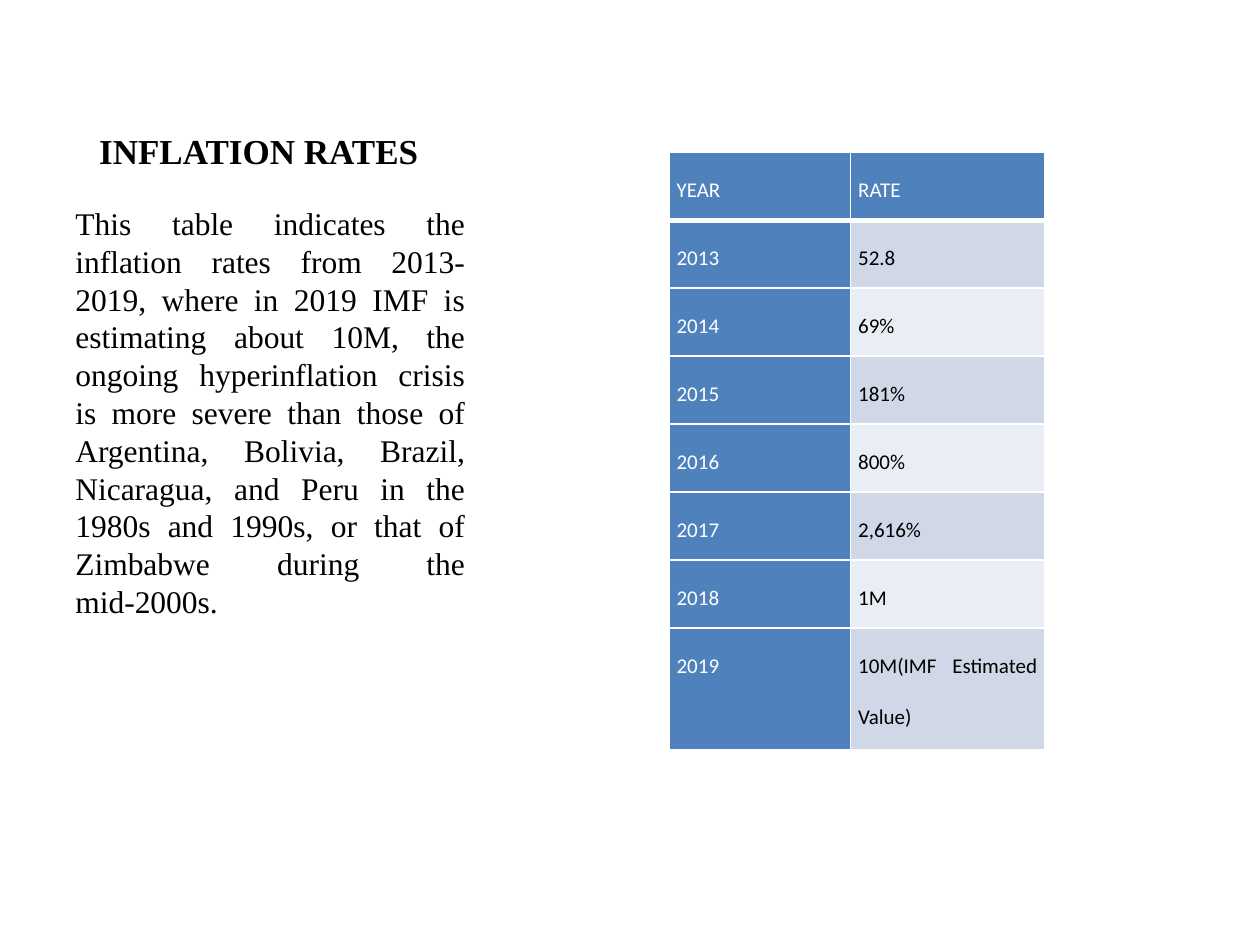
from lxml.etree import SubElement
from pptx import Presentation
from pptx.dml.color import RGBColor
from pptx.enum.text import MSO_ANCHOR, PP_ALIGN
from pptx.oxml.ns import qn
from pptx.util import Cm, Pt

BLACK = RGBColor(0, 0, 0)
WHITE = RGBColor(0xFF, 0xFF, 0xFF)
BLUE = RGBColor(0x4F, 0x81, 0xBD)
BANDS = RGBColor(0xD0, 0xD8, 0xE8), RGBColor(0xE9, 0xED, 0xF4)

TITLE_FONT = {"name": "Times New Roman", "size": Pt(20), "bold": True}
BODY_FONT = {"name": "Times New Roman", "size": Pt(18)}
CELL_FONT = {"name": "Calibri", "size": Pt(12), "bold": False}
CELL_MARGINS = {"margin_left": Cm(0.15), "margin_right": Cm(0.15),
                "margin_top": 0, "margin_bottom": 0}
CELL_PARAGRAPH = {"alignment": PP_ALIGN.JUSTIFY, "line_spacing": 2.0,
                  "space_after": Pt(12)}

BODY = ("This table indicates the inflation rates from 2013-2019, where in 2019 "
        "IMF is estimating about 10M, the ongoing hyperinflation crisis is more "
        "severe than those of Argentina, Bolivia, Brazil, Nicaragua, and "
        "Peru in the 1980s and 1990s, or that of Zimbabwe during the mid-2000s. ")
RATES = [("YEAR", "RATE"), ("2013", "52.8"), ("2014", "69%"), ("2015", "181%"),
         ("2016", "800%"), ("2017", "2,616%"), ("2018", "1M"),
         ("2019", "10M(IMF Estimated Value)")]


def set_attributes(obj, values):
    for name, value in values.items():
        setattr(obj, name, value)


def write(p, text, font, color, paragraph):
    set_attributes(p, paragraph)
    r = p.add_run()
    r.text = text
    set_attributes(r.font, font)
    r.font.color.rgb = color


def add_text(s, box, text, font, anchor, paragraph):
    tf = s.shapes.add_textbox(*box).text_frame
    set_attributes(tf, {"word_wrap": True, "vertical_anchor": anchor})
    write(tf.paragraphs[0], text, font, BLACK, paragraph)


def set_borders(cell, bottom):
    tcPr = cell._tc.get_or_add_tcPr()
    widths = {"a:lnL": 1, "a:lnR": 1, "a:lnT": 1, "a:lnB": bottom}
    for index, (tag, width) in enumerate(widths.items()):
        ln = SubElement(tcPr, qn(tag), w=str(Pt(width)))
        tcPr.insert(index, ln)  # borders come before the fill
        fill = SubElement(ln, qn("a:solidFill"))
        SubElement(fill, qn("a:srgbClr"), val=str(WHITE))


def add_rate_table(s, left, top, widths, row_height, last_height):
    height = row_height * (len(RATES) - 1) + last_height
    table = s.shapes.add_table(len(RATES), len(widths), left, top,
                               sum(widths), height).table
    for column, width in zip(table.columns, widths):
        column.width = width
    for i, values in enumerate(RATES):
        table.rows[i].height = last_height if i == len(RATES) - 1 else row_height
        for j, value in enumerate(values):
            cell = table.cell(i, j)
            on_blue = i == 0 or j == 0
            set_attributes(cell, CELL_MARGINS)
            cell.fill.solid()
            cell.fill.fore_color.rgb = BLUE if on_blue else BANDS[(i - 1) % 2]
            set_borders(cell, 3 if i == 0 else 1)
            write(cell.text_frame.paragraphs[0], value, CELL_FONT,
                  WHITE if on_blue else BLACK, CELL_PARAGRAPH)


def main():
    prs = Presentation()
    prs.slide_width, prs.slide_height = Cm(25.4), Cm(19.05)
    s = prs.slides.add_slide(prs.slide_layouts[6])

    # Heading and explanation on the left
    add_text(s, (Cm(1.75), Cm(1.27), Cm(8.2), Cm(2.31)), "INFLATION RATES",
             TITLE_FONT, MSO_ANCHOR.BOTTOM, {"alignment": PP_ALIGN.LEFT})
    add_text(s, (Cm(1.27), Cm(3.99), Cm(8.36), Cm(13.03)), BODY, BODY_FONT,
             MSO_ANCHOR.TOP, {"alignment": PP_ALIGN.JUSTIFY, "space_before": Pt(3.6)})

    # Rates by year on the right
    add_rate_table(s, Cm(13.49), Cm(3.07), (Cm(3.66), Cm(3.91)), Cm(1.37), Cm(2.46))

    prs.save("out.pptx")


if __name__ == "__main__":
    main()
